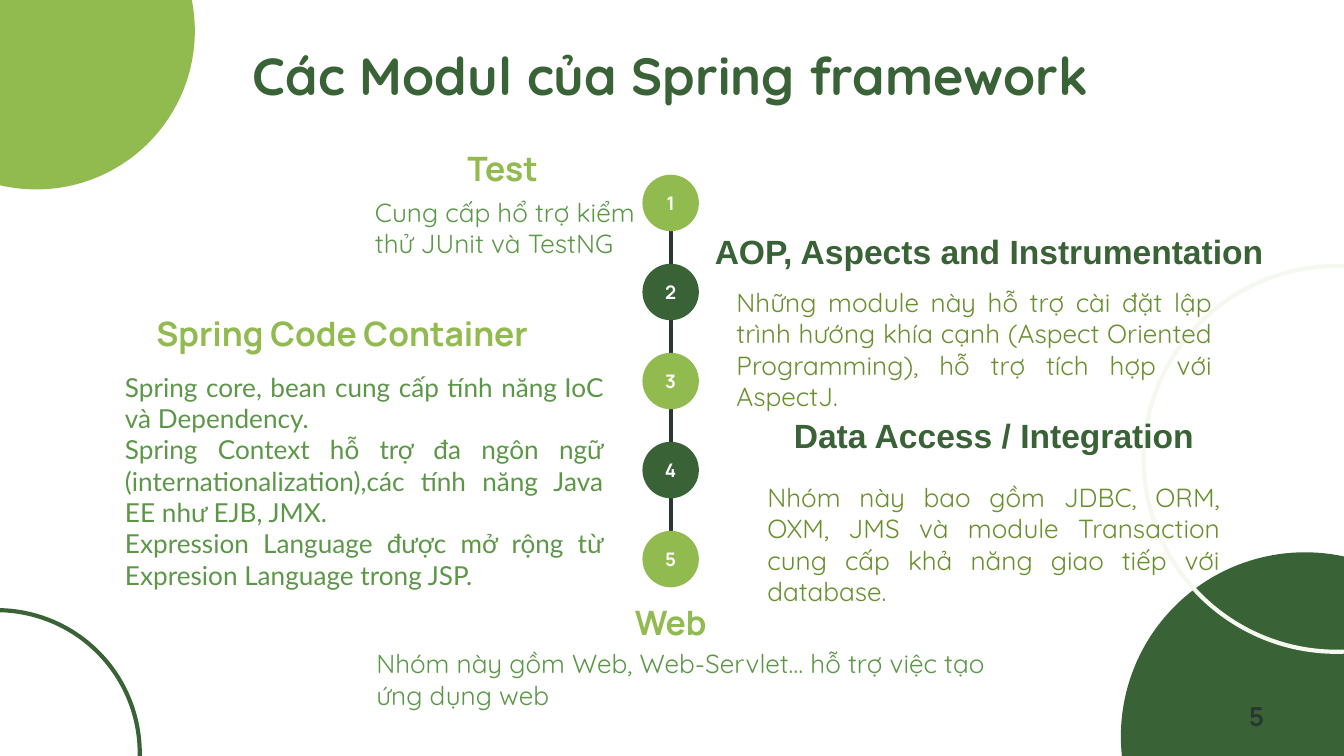
from lxml.etree import SubElement
from pptx import Presentation
from pptx.dml.color import RGBColor
from pptx.enum.shapes import MSO_CONNECTOR as CONN, MSO_SHAPE as SHAPE
from pptx.enum.text import MSO_ANCHOR as ANCHOR, MSO_AUTO_SIZE as AUTO, PP_ALIGN as ALIGN
from pptx.oxml.ns import qn
from pptx.util import Inches, Pt

COLORS = {
    "dark": "396336", "lime": "91BA4F", "pale": "F4F8EE", "ink": "283730",
    "leaf": "5C9748", "olive": "6A8F2E", "white": "FFFFFF",
}
WIDE, TIGHT = (0.1, 0.1), (0.08, 0.04)


def rgb(name):
    """Return the palette colour called name."""
    return RGBColor.from_string(COLORS[name])


def write(tf, text, font="Quicksand", size=14, color="leaf", bold=False,
          align=ALIGN.LEFT, anchor=ANCHOR.TOP, insets=TIGHT):
    """Fill a text frame, one paragraph for each line of text."""
    tf.word_wrap, tf.auto_size, tf.vertical_anchor = True, AUTO.NONE, anchor
    tf.margin_left = tf.margin_right = Inches(insets[0])
    tf.margin_top = tf.margin_bottom = Inches(insets[1])
    for i, line in enumerate(text.split("\n")):
        p = tf.add_paragraph() if i else tf.paragraphs[0]
        p.alignment = align
        r = p.add_run()
        r.text = line
        r.font.name, r.font.size, r.font.bold = font, Pt(size), bold
        r.font.color.rgb = rgb(color)


class Deck:
    """Holds the slide and draws its elements in one style."""

    def __init__(self, prs):
        """Add a title-only slide."""
        self.s = prs.slides.add_slide(prs.slide_layouts[5])

    def title(self, box, text):
        """Move and fill the title placeholder."""
        sp = self.s.shapes.title
        sp.left, sp.top, sp.width, sp.height = map(Inches, box)
        write(sp.text_frame, text, size=28, color="dark", bold=True,
              align=ALIGN.CENTER, insets=WIDE)

    def text(self, box, text, **fmt):
        """Add a text box."""
        sp = self.s.shapes.add_textbox(*map(Inches, box))
        write(sp.text_frame, text, **fmt)

    def heading(self, box, text, font="Manrope", color="lime", align=ALIGN.CENTER):
        """Add a bold module heading."""
        self.text(box, text, font=font, size=18, color=color, bold=True,
                  align=align, insets=WIDE)

    def circle(self, x, y, d, fill=None, line=None):
        """Add a filled or outlined circle."""
        sp = self.s.shapes.add_shape(SHAPE.OVAL, *map(Inches, (x, y, d, d)))
        sp.shadow.inherit = False
        if fill:
            sp.fill.solid()
            sp.fill.fore_color.rgb = rgb(fill)
        else:
            sp.fill.background()
        if line:
            sp.line.color.rgb, sp.line.width = rgb(line), Pt(2.25)
        else:
            sp.line.fill.background()
        return sp

    def line(self, x1, y1, x2, y2, color):
        """Add a straight line."""
        c = self.s.shapes.add_connector(CONN.STRAIGHT, *map(Inches, (x1, y1, x2, y2)))
        c.line.color.rgb, c.line.width = rgb(color), Pt(2.25)
        SubElement(c._element.spPr, qn("a:effectLst"))

    def step(self, number, x, y, fill):
        """Add a numbered timeline circle."""
        sp = self.circle(x, y, 0.42, fill=fill)
        write(sp.text_frame, str(number), font="Manrope", size=10, color="white",
              bold=True, align=ALIGN.CENTER, anchor=ANCHOR.MIDDLE, insets=WIDE)


prs = Presentation()
prs.slide_width = Inches(10)
prs.slide_height = prs.slide_width * 9 // 16
deck = Deck(prs)

deck.circle(8.34, 4.11, 2.74, fill="dark")
deck.circle(-0.91, -0.95, 2.36, fill="lime")
deck.circle(-1.09, 4.54, 2.13, line="dark")
deck.circle(8.51, 1.98, 2.87, line="pale")
deck.text((9.05, 5.1, 0.6, 0.46), "5", font="Manrope", color="ink", bold=True,
          align=ALIGN.CENTER, anchor=ANCHOR.MIDDLE)

deck.title((0.33, 0.22, 9.32, 0.63), "Các Modul của Spring framework")

deck.line(4.99, 1.72, 4.99, 3.95, "ink")
for i in range(5):
    deck.step(i + 1, 4.78, 1.3 + i * 2.65 / 4, "dark" if i % 2 else "lime")

right = {"font": "Arial", "color": "dark"}
deck.heading((2.8, 1, 1.88, 0.46), "Test")
deck.heading((0.52, 2.23, 4.05, 0.46), "Spring Code Container")
deck.heading((3.62, 4.38, 2.74, 0.46), "Web")
deck.heading((5.22, 1.62, 4.84, 0.78), "AOP, Aspects and Instrumentation",
             align=ALIGN.LEFT, **right)
deck.heading((5.39, 2.99, 4.01, 0.46), "Data Access / Integration", **right)

deck.text((2.71, 1.42, 2.18, 0.73), "Cung cấp hổ trợ kiểm thử JUnit và TestNG")
deck.text((2.72, 4.78, 4.84, 0.57),
          "Nhóm này gồm Web, Web-Servlet… hỗ trợ việc tạo ứng dụng web")
deck.text((0.85, 2.72, 3.72, 1.92),
          "Spring core, bean cung cấp tính năng\u00a0IoC và Dependency.\n"
          "Spring Context hỗ trợ đa ngôn ngữ (internationalization),các tính năng "
          "Java EE như EJB, JMX. \n"
          "Expression Language được mở rộng từ Expresion Language trong JSP.",
          font="Lato", align=ALIGN.JUSTIFY)
deck.text((5.4, 2.09, 3.7, 0.57),
          "Những module này hỗ trợ cài đặt lập trình hướng khía cạnh (Aspect Oriented "
          "Programming), hỗ trợ tích hợp với AspectJ.",
          color="olive", align=ALIGN.JUSTIFY)
deck.text((5.63, 3.54, 3.53, 0.8),
          "Nhóm này bao gồm JDBC, ORM, OXM, JMS và module Transaction cung cấp "
          "khả năng giao tiếp với database.",
          color="olive", align=ALIGN.JUSTIFY)

prs.save("out.pptx")
